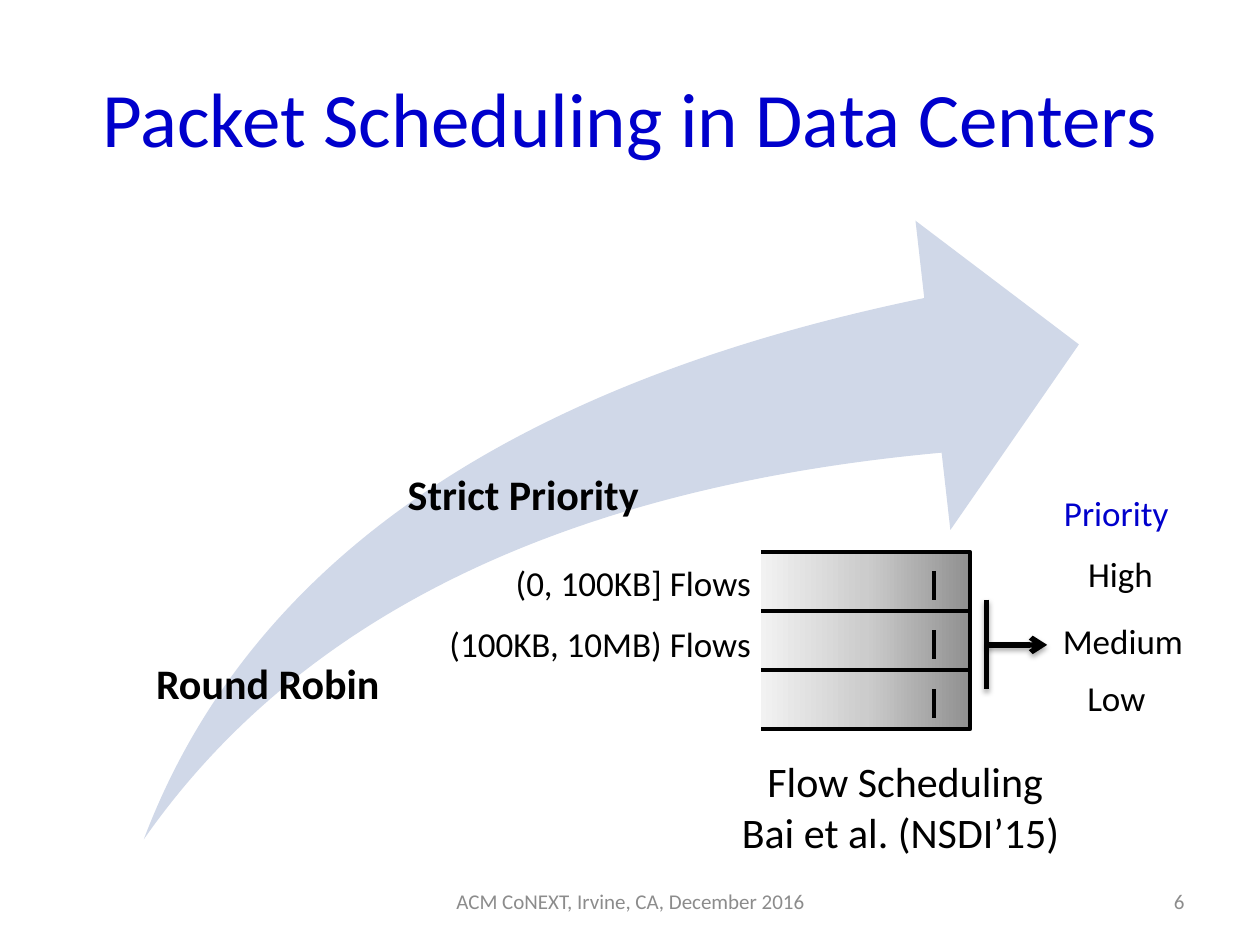
import copy

import lxml.etree
import pptx
import pptx.dml.color
import pptx.enum.dml
import pptx.enum.shapes
import pptx.enum.text
import pptx.oxml
import pptx.oxml.ns
import pptx.util

Cm = pptx.util.Cm
Pt = pptx.util.Pt
RGBColor = pptx.dml.color.RGBColor
ALIGN = pptx.enum.text.PP_ALIGN
ANCHOR = pptx.enum.text.MSO_ANCHOR

BLACK = RGBColor(0x00, 0x00, 0x00)
BLUE = RGBColor(0x00, 0x00, 0xCC)
GRAY = RGBColor(0x8C, 0x8C, 0x8C)
PALE_BLUE = RGBColor(0xD0, 0xD8, 0xE8)
QUEUE_STOPS = [
    (0, RGBColor(0x90, 0x90, 0x90)),
    (0.5, RGBColor(0xCC, 0xCC, 0xCC)),
    (1, RGBColor(0xF2, 0xF2, 0xF2)),
]
FONT = "Calibri"
NAMESPACE = pptx.oxml.ns.nsdecls("a")
NO_EFFECTS = f"<a:effectLst {NAMESPACE}/>"
SOFT_SHADOW = (
    f'<a:effectLst {NAMESPACE}><a:outerShdw blurRad="{Pt(3.1)}" dist="{Pt(1.8)}" dir="5400000" '
    'rotWithShape="0"><a:srgbClr val="000000"><a:alpha val="35000"/></a:srgbClr>'
    "</a:outerShdw></a:effectLst>"
)


def add_text(text, left, top, width, height, size, align, color=BLACK, bold=False):
    shape = slide.shapes.add_textbox(Cm(left), Cm(top), Cm(width), Cm(height))
    shape.text_frame.word_wrap = True
    shape.text_frame.text = text
    for paragraph in shape.text_frame.paragraphs:
        paragraph.alignment = align
        for run in paragraph.runs:
            run.font.name = FONT
            run.font.size = Pt(size)
            run.font.bold = bold
            run.font.color.rgb = color
    return shape


def add_line(x1, y1, x2, y2, width, effects=NO_EFFECTS):
    connector = slide.shapes.add_connector(
        pptx.enum.shapes.MSO_CONNECTOR.STRAIGHT, Cm(x1), Cm(y1), Cm(x2), Cm(y2))
    connector.line.color.rgb = BLACK
    connector.line.width = Pt(width)
    connector._element.spPr.append(pptx.oxml.parse_xml(effects))
    return connector


presentation = pptx.Presentation()
presentation.slide_width = Cm(25.4)
presentation.slide_height = Cm(19.05)
slide = presentation.slides.add_slide(presentation.slide_layouts[5])

# Title
title = slide.shapes.title
title.left, title.top, title.width, title.height = Cm(1.27), Cm(0.76), Cm(22.86), Cm(3.18)
title.text_frame.text = "Packet Scheduling in Data Centers"
title.text_frame.vertical_anchor = ANCHOR.MIDDLE
title.text_frame.paragraphs[0].alignment = ALIGN.CENTER
title_font = title.text_frame.paragraphs[0].runs[0].font
title_font.name = FONT
title_font.size = Pt(44)
title_font.color.rgb = BLUE

# Rising arrow with its milestones
swoosh = slide.shapes.add_shape(
    pptx.enum.shapes.MSO_SHAPE.SWOOSH_ARROW, Cm(2.9), Cm(4.45), Cm(18.85), Cm(12.47))
swoosh.adjustments[0] = 0.25
swoosh.adjustments[1] = 0.25
swoosh.fill.solid()
swoosh.fill.fore_color.rgb = PALE_BLUE
swoosh.line.fill.background()
swoosh.shadow.inherit = False
for text, left, top in [("Round Robin", 0.46, 13.13), ("Strict Priority", 5.61, 9.32)]:
    add_text(text, left, top, 9.88, 1.27, 24, ALIGN.CENTER, bold=True)

# Three priority queues, open on the left
QUEUE_LEFT, QUEUE_RIGHT, QUEUE_TOP, QUEUE_HEIGHT = 15.34, 19.56, 11.13, 1.19
for row in range(3):
    top = QUEUE_TOP + row * QUEUE_HEIGHT
    bottom = top + QUEUE_HEIGHT
    builder = slide.shapes.build_freeform(Cm(QUEUE_LEFT), Cm(top))
    builder.add_line_segments(
        [(Cm(QUEUE_RIGHT), Cm(top)), (Cm(QUEUE_RIGHT), Cm(bottom)), (Cm(QUEUE_LEFT), Cm(bottom))],
        close=False)
    queue = builder.convert_to_shape()
    queue.shadow.inherit = False
    queue.line.color.rgb = BLACK
    queue.line.width = Pt(2.25)
    queue.fill.gradient()
    queue.fill.gradient_angle = 180
    stop_list = queue._element.spPr.find(".//" + pptx.oxml.ns.qn("a:gsLst"))
    stop_list.insert(1, copy.deepcopy(stop_list[0]))
    for stop, (position, color) in zip(queue.fill.gradient_stops, QUEUE_STOPS):
        stop.position = position
        stop.color.rgb = color
    add_line(18.82, top + 0.38, 18.82, top + 0.96, 2.25)

# Scheduler output
add_line(19.89, 12.09, 19.89, 13.89, 3, SOFT_SHADOW)
output = add_line(19.89, 13, 21.11, 13, 3, SOFT_SHADOW)
lxml.etree.SubElement(output.line._get_or_add_ln(), pptx.oxml.ns.qn("a:tailEnd"), type="arrow")

# Queue labels
for text, left, top, align, color in [
    ("(0, 100KB] Flows", 6.2, 11.2, ALIGN.RIGHT, BLACK),
    ("(100KB, 10MB) Flows", 6.2, 12.42, ALIGN.RIGHT, BLACK),
    ("Priority", 17.91, 9.78, ALIGN.CENTER, BLUE),
    ("High", 14.3, 11.02, ALIGN.RIGHT, BLACK),
    ("Medium", 14.91, 12.37, ALIGN.RIGHT, BLACK),
    ("Low", 17.91, 13.51, ALIGN.CENTER, BLACK),
]:
    add_text(text, left, top, 9.19, 1.12, 20, align, color)

citation = add_text("Flow Scheduling\nBai et al. (NSDI’15) ", 11.1, 15.11, 13.03, 2.31, 24, ALIGN.CENTER)
for paragraph in citation.text_frame.paragraphs:
    paragraph.level = 1
    paragraph._p.get_or_add_pPr().set("marL", str(Cm(1.27)))

# Footer
for text, left, width, align in [
    ("ACM CoNEXT, Irvine, CA, December 2016", 8.69, 8.05, ALIGN.CENTER),
    ("6", 18.21, 5.92, ALIGN.RIGHT),
]:
    footer = add_text(text, left, 17.65, width, 1.02, 12, align, GRAY)
    footer.text_frame.vertical_anchor = ANCHOR.MIDDLE

presentation.save("out.pptx")
